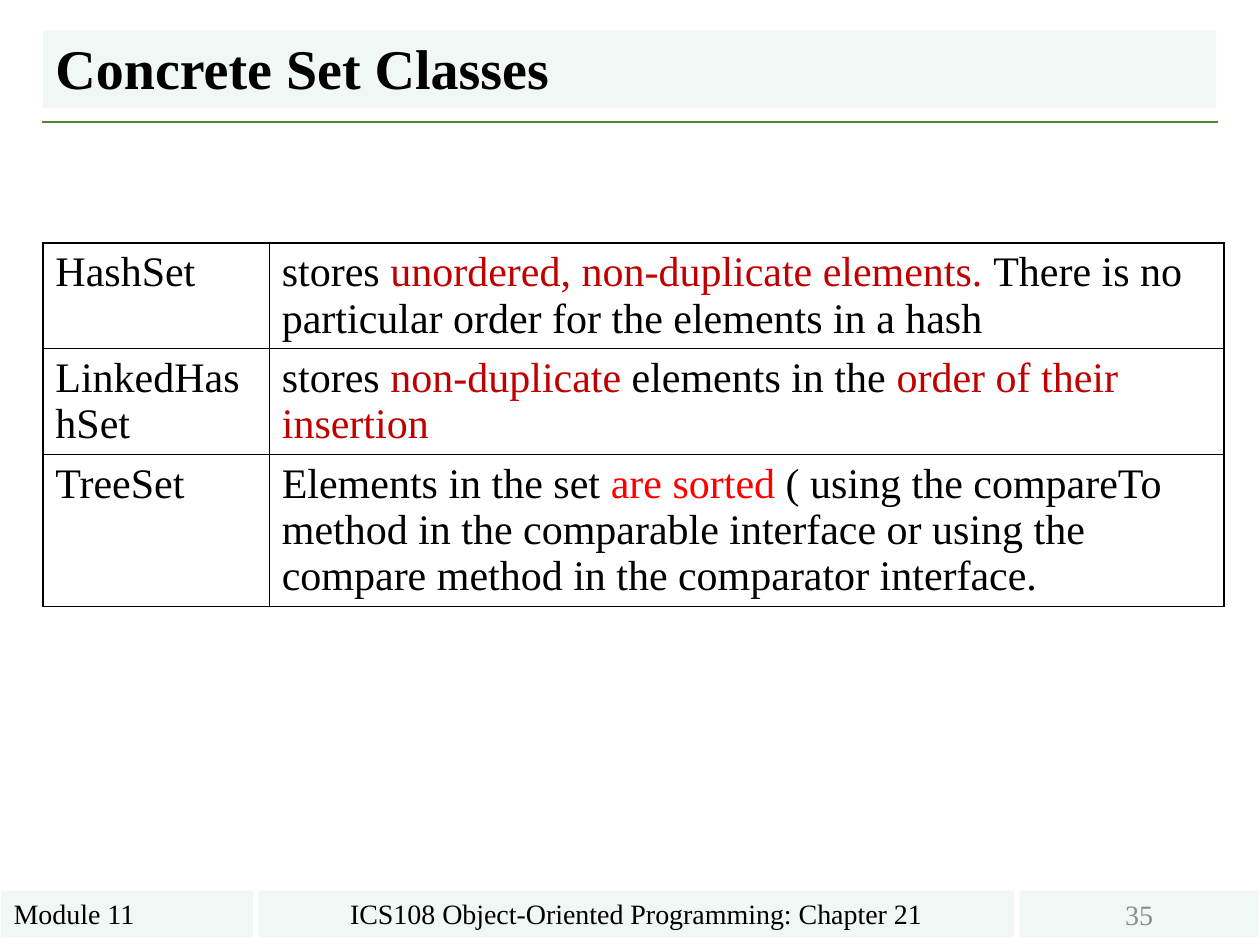
from lxml import etree
from pptx import Presentation
from pptx.dml.color import RGBColor
from pptx.enum.shapes import MSO_CONNECTOR
from pptx.enum.text import MSO_ANCHOR, MSO_AUTO_SIZE, PP_ALIGN
from pptx.oxml import parse_xml
from pptx.oxml.ns import nsdecls, qn
from pptx.util import Pt

LEFT, CENTER = PP_ALIGN.LEFT, PP_ALIGN.CENTER
TOP, MIDDLE, BOTTOM = MSO_ANCHOR.TOP, MSO_ANCHOR.MIDDLE, MSO_ANCHOR.BOTTOM
NO_FIT = MSO_AUTO_SIZE.NONE
STRAIGHT = MSO_CONNECTOR.STRAIGHT
TITLE_ONLY = 5

BLACK, GRAY, GREEN, PALE = "000000", "8C8C8C", "548235", "F1F7F4"
DARK_RED, RED = "C00000", "FF0000"


def color(value):
    return RGBColor.from_string(value)


def set_all(target, values):
    for name, value in values.items():
        setattr(target, name, value)


class SlideBuilder:
    font = "Times New Roman"

    def __init__(self, slide):
        self.slide = slide

    def add_text(self, frame, spans, size, align=LEFT, bold=False, spacing=1.0):
        """Fill one paragraph from (text, colour) pairs."""
        para = frame.paragraphs[0]
        set_all(para, {"alignment": align, "line_spacing": spacing})
        for text, ink in spans:
            span = para.add_run()
            span.text = text
            set_all(span.font, {"name": self.font, "size": Pt(size), "bold": bold})
            span.font.color.rgb = color(ink)

    def place(self, box, left, top, width, height, anchor):
        set_all(box, {"left": Pt(left), "top": Pt(top),
                      "width": Pt(width), "height": Pt(height)})
        box.fill.solid()
        box.fill.fore_color.rgb = color(PALE)
        set_all(box.text_frame, {"word_wrap": True, "auto_size": NO_FIT,
                                 "vertical_anchor": anchor})

    def title(self, text, *bounds):
        box = self.slide.shapes.title
        self.place(box, *bounds, BOTTOM)
        self.add_text(box.text_frame, [(text, BLACK)], 32, bold=True, spacing=0.9)

    def band(self, text, left, width, align=CENTER, ink=BLACK, anchor=TOP):
        box = self.slide.shapes.add_textbox(0, 0, 0, 0)
        self.place(box, left, 509, width, 26.64, anchor)
        self.add_text(box.text_frame, [(text, ink)], 16, align)

    def rule(self, left, right, y):
        line = self.slide.shapes.add_connector(STRAIGHT, Pt(left), Pt(y), Pt(right), Pt(y))
        line.line.color.rgb = color(GREEN)
        line.line.width = Pt(1.5)
        etree.SubElement(line._element.spPr, qn("a:effectLst"))

    def border(self, cell):
        properties = cell._tc.get_or_add_tcPr()
        for position, side in enumerate(("lnL", "lnR", "lnT", "lnB")):
            properties.insert(position, parse_xml(
                f'<a:{side} {nsdecls("a")} w="{Pt(1)}"><a:solidFill>'
                f'<a:srgbClr val="{BLACK}"/></a:solidFill></a:{side}>'))

    def table(self, left, top, widths, heights, rows):
        table = self.slide.shapes.add_table(
            len(rows), len(widths), Pt(left), Pt(top),
            Pt(sum(widths)), Pt(sum(heights))).table
        set_all(table, {"first_row": False, "horz_banding": False})
        for column, width in zip(table.columns, widths):
            column.width = Pt(width)
        for row, height, contents in zip(table.rows, heights, rows):
            row.height = Pt(height)
            for cell, spans in zip(row.cells, contents):
                cell.fill.background()
                self.border(cell)
                self.add_text(cell.text_frame, spans, 24)


def main():
    deck = Presentation()
    set_all(deck, {"slide_width": Pt(720), "slide_height": Pt(540)})
    page = SlideBuilder(deck.slides.add_slide(deck.slide_layouts[TITLE_ONLY]))

    # Heading with its rule
    page.rule(23.76, 696.24, 69.84)
    page.title("Concrete Set Classes", 24.5, 17.3, 670.5, 44.6)

    # Footer bands
    page.band("ICS108 Object-Oriented Programming: Chapter 21", 147.6, 432)
    page.band("Module 11", 0.72, 144, LEFT)
    page.band("35", 582.5, 136.8, ink=GRAY, anchor=MIDDLE)

    # Set classes and what each one stores
    page.table(24.5, 138.9, (129.4, 545.6), (60.4, 60.4, 86.7), [
        ([("HashSet", BLACK)],
         [("stores ", BLACK),
          ("unordered, non-duplicate elements. ", DARK_RED),
          ("There is no particular order for the elements in a hash", BLACK)]),
        ([("LinkedHashSet", BLACK)],
         [("stores ", BLACK), ("non-duplicate", DARK_RED),
          (" elements in the ", BLACK), ("order of their insertion", DARK_RED)]),
        ([("TreeSet", BLACK)],
         [("Elements in the set ", BLACK), ("are sorted ", RED),
          ("( using the compareTo method in the comparable interface or using "
           "the compare method in the comparator interface.", BLACK)]),
    ])

    deck.save("out.pptx")


if __name__ == "__main__":
    main()
